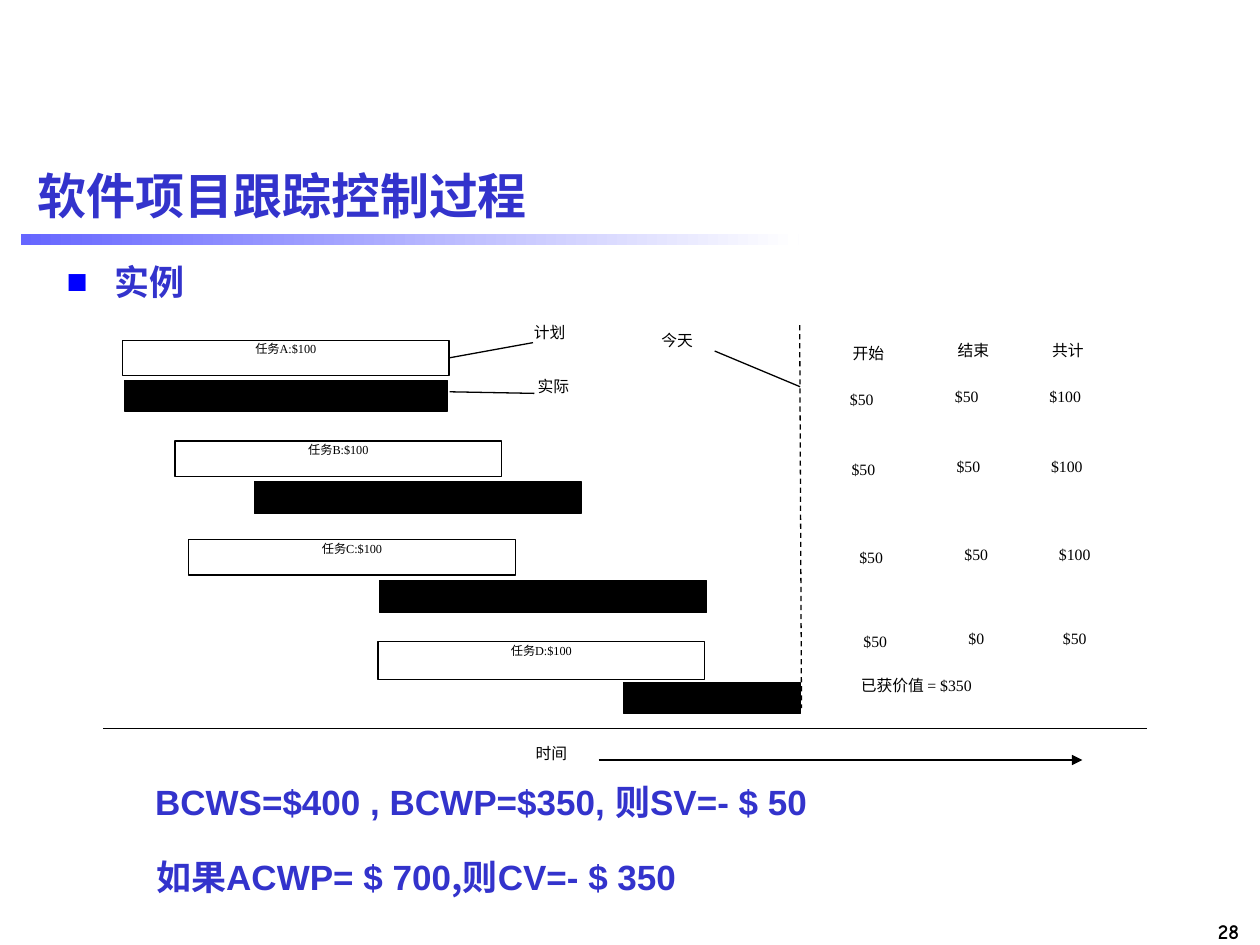
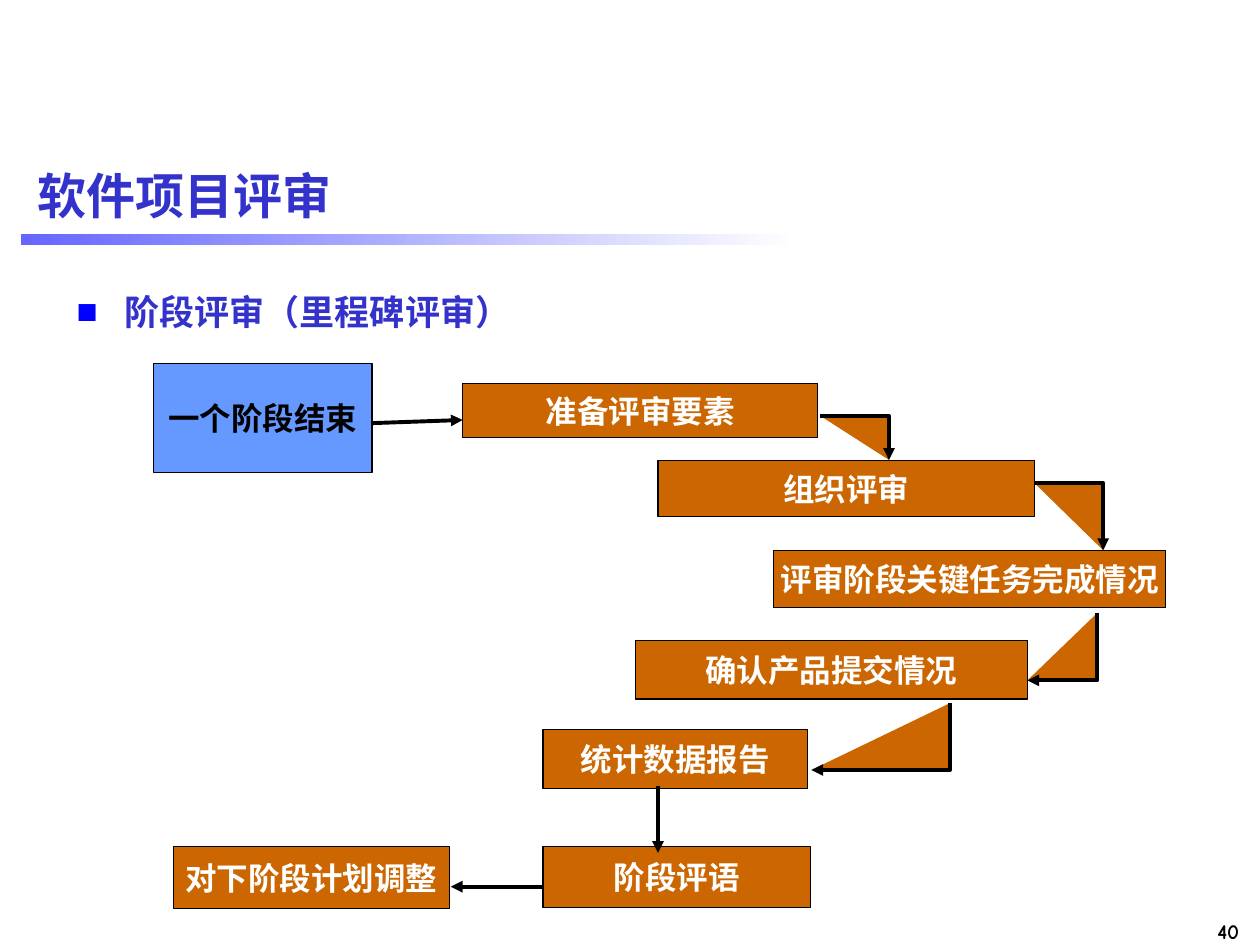
from dataclasses import dataclass
from typing import NamedTuple

from lxml.etree import SubElement
from pptx import Presentation
from pptx.dml.color import RGBColor
from pptx.enum.dml import MSO_LINE
from pptx.enum.shapes import MSO_CONNECTOR, MSO_SHAPE
from pptx.enum.text import MSO_ANCHOR, PP_ALIGN
from pptx.oxml.ns import qn
from pptx.util import Pt

COLORS = {
    "title": "3333CC",
    "band": "6666FF",
    "bullet": "0000FF",
    "ink": "000000",
    "paper": "FFFFFF",
    "step": "CC6600",
    "stage": "6699FF",
}
CJK_FONT = "Noto Sans CJK SC"
SERIF = "Times New Roman"
SANS = "Arial"
INSETS = (7.2, 3.6, 7.2, 3.6)
NO_INSETS = (0, 0, 0, 0)
HAIRLINE = 0.75
BOLD_LINE = 2.25


class Box(NamedTuple):
    left: float
    top: float
    width: float
    height: float


class Point(NamedTuple):
    x: float
    y: float


@dataclass(frozen=True)
class Look:
    size: float
    font: str = SERIF
    color: str = "ink"
    bold: bool = False


@dataclass(frozen=True)
class Task:
    name: str
    plan: Box
    actual: Box


@dataclass(frozen=True)
class ValueRow:
    left: float
    top: float
    values: tuple[str, str, str]


@dataclass(frozen=True)
class Step:
    text: str
    box: Box
    fill: str = "step"
    ink: str = "paper"


TITLE = Look(28, SANS, "title", True)
TOPIC = Look(20, CJK_FONT, "title", True)
FORMULA = Look(20, SANS, "title", True)
PAGE_NUMBER = Look(12, "Comic Neue", "ink", True)
TASK_NAME = Look(7)
LABEL = Look(9)

TASKS = [
    Task("任务A:$100", Box(70, 194.4, 186.7, 20.2), Box(71.3, 217.4, 184.4, 17.5)),
    Task("任务B:$100", Box(100, 252, 186.7, 20.2), Box(145.4, 275, 186.7, 18.5)),
    Task("任务C:$100", Box(107.8, 308.2, 186.7, 20.4), Box(217, 331.7, 186.7, 18.5)),
    Task("任务D:$100", Box(216, 366.5, 186.7, 21.7), Box(356.4, 390.2, 101, 17.5)),
]
VALUE_ROWS = [
    ValueRow(480.2, 191, ("开始", "结束", "共计")),
    ValueRow(478.6, 217.4, ("$50", "$50", "$100")),
    ValueRow(479.5, 257.2, ("$50", "$50", "$100")),
    ValueRow(484, 308, ("$50", "$50", "$100")),
    ValueRow(486.3, 355.7, ("$50", "$0", "$50")),
]
VALUE_OFFSETS = [Point(0, 1.7), Point(60, 0), Point(114, 0)]
CHART_LABELS = [
    ("计划", Box(298, 180.8, 51.1, 25.2)),
    ("实际", Box(300.2, 212, 51.1, 30.2)),
    ("今天", Box(370.8, 185.3, 51.1, 25.2)),
    ("时间", Box(299, 421.2, 51.1, 30.2)),
    ("已获价值 = $350", Box(484.8, 382.3, 154.8, 25.2)),
]
STEPS = [
    Step("一个阶段结束", Box(87.8, 207.6, 124.8, 62.6), "stage", "ink"),
    Step("准备评审要素", Box(264.4, 219.1, 202.8, 31)),
    Step("组织评审", Box(376, 263.1, 215.2, 32.2)),
    Step("评审阶段关键任务完成情况", Box(442, 314.4, 224.2, 32.9)),
    Step("确认产品提交情况", Box(363.1, 365.8, 224, 33.6)),
    Step("统计数据报告", Box(310.3, 416.9, 151, 33.8)),
    Step("阶段评语", Box(310.3, 483.8, 152.8, 34.6)),
    Step("对下阶段计划调整", Box(99.2, 483.9, 157.6, 35.3)),
]
ELBOWS = [
    (Point(468.7, 237.6), Point(508, 237.6), Point(508, 262.8)),
    (Point(591.1, 276), Point(630.4, 276), Point(630.4, 314.4)),
    (Point(627.1, 350.2), Point(627.1, 388.8), Point(587.1, 388.8)),
    (Point(542.9, 401.8), Point(542.9, 440), Point(463.7, 440)),
]
FLOW_ARROWS = [
    (Point(212.4, 241.8), Point(264.4, 240)),
    (Point(376, 449.3), Point(376, 487.4)),
    (Point(310.3, 506.7), Point(257.6, 506.7)),
]


def rgb(name: str) -> RGBColor:
    return RGBColor.from_string(COLORS[name])


def format_run(run, look: Look) -> None:
    run.font.size = Pt(look.size)
    run.font.name = look.font
    run.font.bold = look.bold
    run.font.color.rgb = rgb(look.color)
    east_asian = SubElement(run.font._element, qn("a:ea"))
    east_asian.set("typeface", CJK_FONT)


def write(shape, text: str, look: Look, align=PP_ALIGN.LEFT, anchor=MSO_ANCHOR.TOP,
          insets=INSETS, wrap: bool = True):
    frame = shape.text_frame
    frame.text = text
    frame.word_wrap = wrap
    frame.vertical_anchor = anchor
    (frame.margin_left, frame.margin_top,
     frame.margin_right, frame.margin_bottom) = map(Pt, insets)
    paragraph = frame.paragraphs[0]
    paragraph.alignment = align
    for run in paragraph.runs:
        format_run(run, look)
    return paragraph


def add_text(slide, box: Box, text: str, look: Look, **layout):
    return write(slide.shapes.add_textbox(*map(Pt, box)), text, look, **layout)


def add_panel(slide, box: Box, fill: str):
    panel = slide.shapes.add_shape(MSO_SHAPE.RECTANGLE, *map(Pt, box))
    panel.shadow.inherit = False
    panel.fill.solid()
    panel.fill.fore_color.rgb = rgb(fill)
    panel.line.fill.background()
    return panel


def add_bar(slide, box: Box, fill: str):
    bar = add_panel(slide, box, fill)
    bar.line.color.rgb = rgb("ink")
    bar.line.width = Pt(HAIRLINE)
    return bar


def add_label(slide, box: Box, text: str) -> None:
    write(add_panel(slide, box, "paper"), text, LABEL, align=PP_ALIGN.JUSTIFY)


def add_arrowhead(shape) -> None:
    SubElement(shape.line._get_or_add_ln(), qn("a:tailEnd")).set("type", "triangle")


def add_line(slide, start: Point, end: Point, width: float = HAIRLINE, arrow: bool = False):
    line = slide.shapes.add_connector(MSO_CONNECTOR.STRAIGHT, *map(Pt, (*start, *end)))
    line.line.color.rgb = rgb("ink")
    line.line.width = Pt(width)
    if arrow:
        add_arrowhead(line)
    SubElement(line._element.spPr, qn("a:effectLst"))
    return line


def add_elbow(slide, start: Point, corner: Point, end: Point) -> None:
    builder = slide.shapes.build_freeform(Pt(start.x), Pt(start.y))
    builder.add_line_segments([tuple(map(Pt, point)) for point in (corner, end)], close=False)
    elbow = builder.convert_to_shape()
    elbow.shadow.inherit = False
    elbow.fill.solid()
    elbow.fill.fore_color.rgb = rgb("step")
    elbow.line.color.rgb = rgb("ink")
    elbow.line.width = Pt(BOLD_LINE)
    add_arrowhead(elbow)


def add_topic(slide, box: Box, text: str) -> None:
    properties = add_text(slide, box, text, TOPIC)._p.get_or_add_pPr()
    properties.set("marL", str(Pt(27.4)))
    properties.set("indent", str(-Pt(27.4)))
    color = SubElement(properties, qn("a:buClr"))
    SubElement(color, qn("a:srgbClr")).set("val", COLORS["bullet"])
    SubElement(properties, qn("a:buFont")).set("typeface", SANS)
    SubElement(properties, qn("a:buChar")).set("char", "■")


def start_slide(deck, title: str, number: str):
    slide = deck.slides.add_slide(deck.slide_layouts[6])
    add_text(slide, Box(649, 521.5, 66.2, 21.6), number, PAGE_NUMBER, align=PP_ALIGN.RIGHT)
    band = add_panel(slide, Box(12, 133.9, 444.4, 6.1), "band")
    band.fill.gradient()
    band.fill.gradient_angle = 0
    for stop, color in zip(band.fill.gradient_stops, ("band", "paper")):
        stop.color.rgb = rgb(color)
    add_text(slide, Box(14.4, 82.8, 691.9, 56.9), title, TITLE, anchor=MSO_ANCHOR.MIDDLE)
    return slide


def build_earned_value(deck) -> None:
    slide = start_slide(deck, "软件项目跟踪控制过程", "28")
    add_topic(slide, Box(31, 145.4, 674.6, 394.6), "实例")

    plans = []
    for task in TASKS:
        plan = add_bar(slide, task.plan, "paper")
        write(plan, task.name, TASK_NAME, align=PP_ALIGN.CENTER).line_spacing = 0.64
        plans.append(plan)
        add_bar(slide, task.actual, "ink")

    for text, box in CHART_LABELS:
        add_label(slide, box, text)
    for row in VALUE_ROWS:
        for offset, value in zip(VALUE_OFFSETS, row.values):
            add_label(slide, Box(row.left + offset.x, row.top + offset.y, 51.1, 25.2), value)

    add_line(slide, Point(59, 416.4), Point(655.7, 416.4))
    today = add_line(slide, Point(457, 185.8), Point(458, 404.6))
    today.line.dash_style = MSO_LINE.DASH
    plan_pointer = add_line(slide, Point(304.6, 195.8), Point(256.7, 204.5))
    plan_pointer.end_connect(plans[0], 3)
    add_line(slide, Point(257, 223.9), Point(305.3, 224.8))
    add_line(slide, Point(408.4, 200.6), Point(457.2, 221))
    add_line(slide, Point(342, 434.3), Point(618.5, 434.3), arrow=True)

    add_text(slide, Box(70.8, 446, 408.2, 23.8), "BCWS=$400 , BCWP=$350, 则SV=- $ 50",
             FORMULA, align=PP_ALIGN.CENTER, insets=NO_INSETS)
    cost_variance = add_text(slide, Box(82.1, 485.6, 437.8, 31.7), "如果", TOPIC)
    for text, look in (("ACWP= $ 700", FORMULA), (",则", TOPIC), ("CV=- $ 350", FORMULA)):
        run = cost_variance.add_run()
        run.text = text
        format_run(run, look)


def build_stage_review(deck) -> None:
    slide = start_slide(deck, "软件项目评审", "40")
    add_topic(slide, Box(36.7, 162.3, 668.9, 377.7), "阶段评审（里程碑评审）")
    for step in STEPS:
        write(add_bar(slide, step.box, step.fill), step.text, Look(18, SERIF, step.ink, True),
              align=PP_ALIGN.CENTER, anchor=MSO_ANCHOR.MIDDLE, insets=NO_INSETS, wrap=False)
    for elbow in ELBOWS:
        add_elbow(slide, *elbow)
    for start, end in FLOW_ARROWS:
        add_line(slide, start, end, BOLD_LINE, arrow=True)


def main() -> None:
    deck = Presentation()
    deck.slide_width, deck.slide_height = Pt(720), Pt(540)
    build_earned_value(deck)
    build_stage_review(deck)
    deck.save("out.pptx")


if __name__ == "__main__":
    main()
